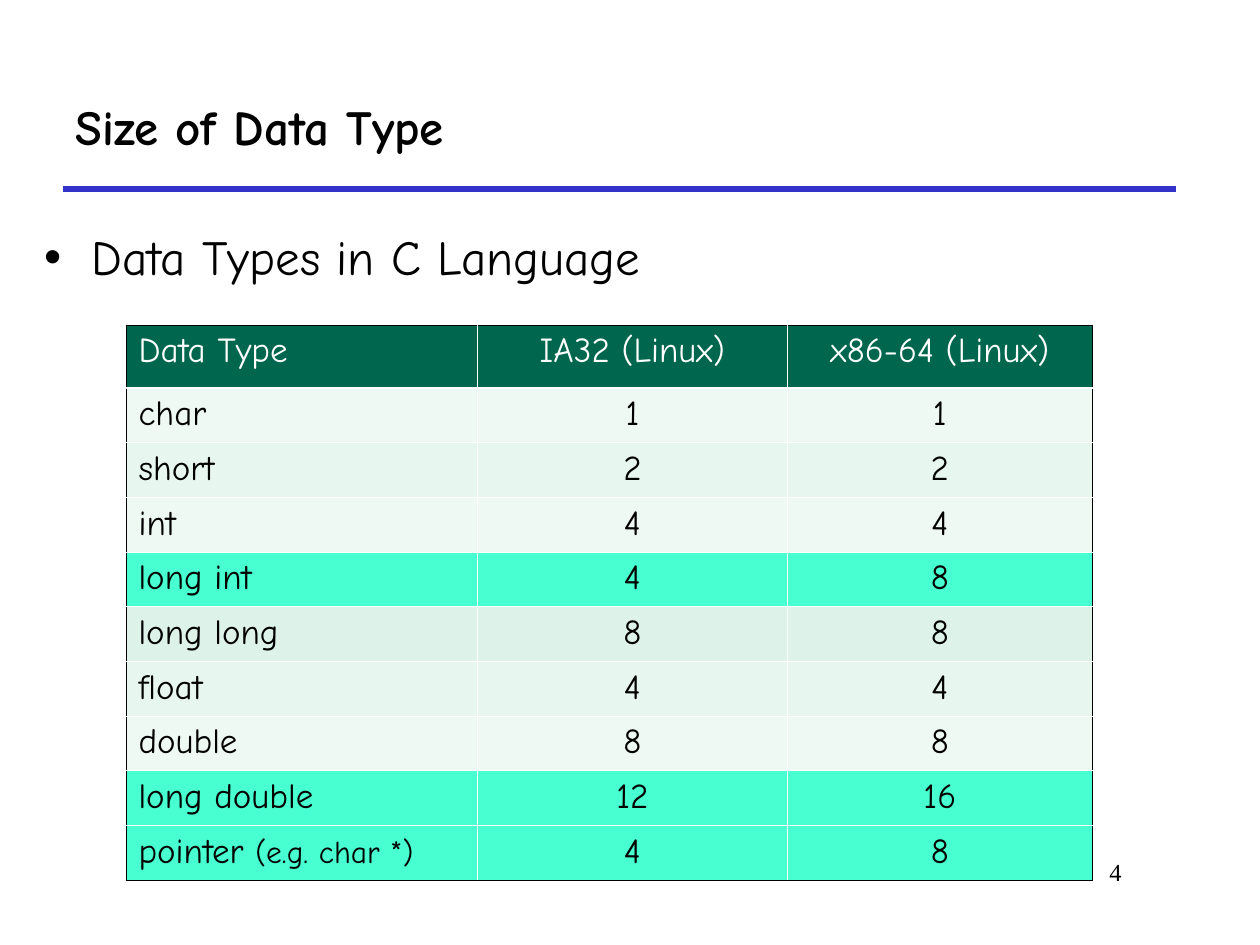
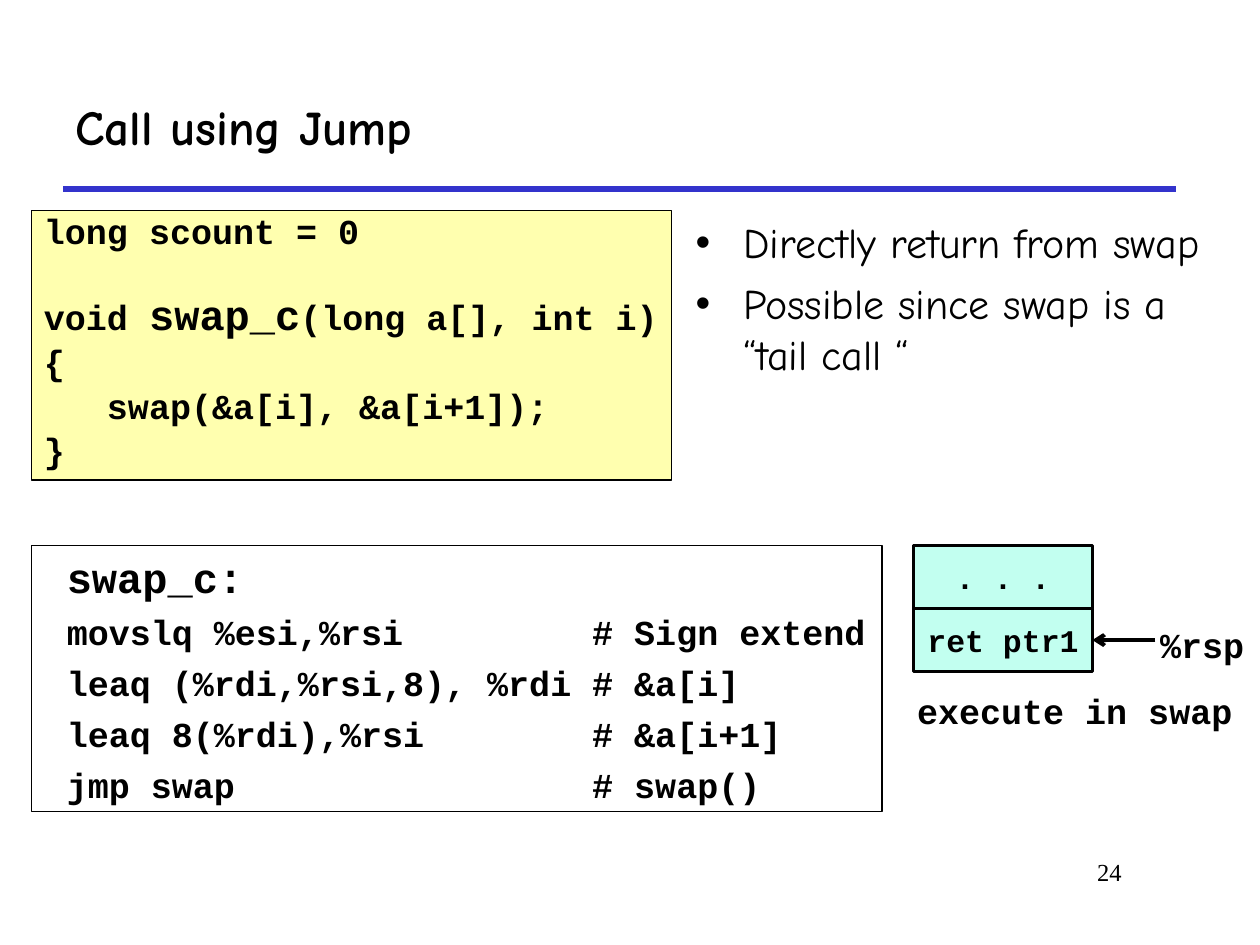
from dataclasses import dataclass

from lxml.etree import SubElement as Sub
from pptx import Presentation
from pptx.dml.color import RGBColor as RGB
from pptx.enum.shapes import MSO_CONNECTOR as Link, MSO_SHAPE as Shape
from pptx.enum.text import MSO_ANCHOR as Anchor, MSO_AUTO_SIZE as Fit, PP_ALIGN as Align
from pptx.oxml.ns import qn
from pptx.util import Inches, Pt


@dataclass(frozen=True)
class Theme:
    sans: str = "Comic Neue"
    mono: str = "Courier New"
    serif: str = "Times New Roman"
    ink: str = "000000"
    white: str = "FFFFFF"
    rule: str = "3333CC"
    head: str = "00664D"
    pale: str = "EEF9F4"
    soft: str = "E7F6EF"
    mid: str = "DDF3EA"
    vivid: str = "47FFD1"
    stack: str = "C2FFF0"
    code: str = "FFFFAF"
    title: int = 28
    list: int = 24
    text: int = 20
    small: int = 18
    page: int = 14


T = Theme()


def style(font, size, face, color=T.ink, bold=False):
    font.size, font.name, font.bold = Pt(size), face, bold
    font.color.rgb = RGB.from_string(color)


def inset(frame, left=0.1, top=0.05, right=0.1, bottom=0.05):
    frame.margin_left, frame.margin_top = Inches(left), Inches(top)
    frame.margin_right, frame.margin_bottom = Inches(right), Inches(bottom)


def place(shape, box):
    shape.left, shape.top, shape.width, shape.height = map(Inches, box)


def edge(cell, side, color, width):
    line = Sub(cell._tc.get_or_add_tcPr(), qn(f"a:ln{side}"), w=str(Pt(width)))
    Sub(Sub(line, qn("a:solidFill")), qn("a:srgbClr"), val=color)


class Deck:
    def __init__(self):
        self.prs = Presentation()
        self.prs.slide_width, self.prs.slide_height = Inches(10), Inches(7.5)

    def page(self, title, number):
        """Start a slide with its title, rule and page number."""
        self.slide = self.prs.slides.add_slide(self.prs.slide_layouts[1])
        self.shapes = self.slide.shapes
        head = self.shapes.title
        place(head, (0.5, 0.5, 8.83, 1))
        frame = head.text_frame
        frame.text, frame.vertical_anchor = title, Anchor.MIDDLE
        frame.auto_size = Fit.NONE
        para = frame.paragraphs[0]
        para.alignment = Align.LEFT
        style(para.font, T.title, T.sans, bold=True)
        self.line((0.5, 1.5), (9.33, 1.5), T.rule, 3)
        self.label(str(number), (7.58, 6.75, 1.42, 0.5), T.page, T.serif,
                   align=Align.RIGHT, right=0.1, bold=False)

    def bullets(self, items, box, size, gap):
        body = self.slide.placeholders[1]
        place(body, box)
        frame = body.text_frame
        frame.text, frame.auto_size = "\n".join(items), Fit.NONE
        inset(frame)
        for i, para in enumerate(frame.paragraphs):
            props = para._p.get_or_add_pPr()
            props.set("marL", str(Inches(0.38)))
            props.set("indent", str(Inches(-0.38)))
            Sub(Sub(props, qn("a:buClr")), qn("a:srgbClr"), val=T.ink)
            Sub(props, qn("a:buFont"), typeface="Arial")
            Sub(props, qn("a:buChar"), char="•")
            para.space_before = Pt(gap if i else 0)
            style(para.font, size, T.sans)

    def label(self, text, box, size=T.text, face=T.mono,
              align=Align.LEFT, right=0, bold=True):
        frame = self.shapes.add_textbox(*map(Inches, box)).text_frame
        frame.text, frame.word_wrap = text, True
        inset(frame, right=right)
        para = frame.paragraphs[0]
        para.alignment = align
        style(para.font, size, face, bold=bold)

    def rect(self, box, fill, width):
        shape = self.shapes.add_shape(Shape.RECTANGLE, *map(Inches, box))
        shape.shadow.inherit = False
        shape.fill.solid()
        shape.fill.fore_color.rgb = RGB.from_string(fill)
        shape.line.color.rgb = RGB.from_string(T.ink)
        shape.line.width = Pt(width)
        return shape

    def code(self, lines, box, fill, margins, pitch=None, tab=None):
        """Fill a box with code; each line is (space before, [(text, size)])."""
        frame = self.rect(box, fill, 0.75).text_frame
        frame.vertical_anchor, frame.word_wrap = Anchor.TOP, True
        inset(frame, *margins)
        for i, (gap, runs) in enumerate(lines):
            para = frame.add_paragraph() if i else frame.paragraphs[0]
            if tab:
                stops = Sub(para._p.get_or_add_pPr(), qn("a:tabLst"))
                Sub(stops, qn("a:tab"), pos=str(Inches(tab)), algn="l")
            para.alignment, para.space_before = Align.LEFT, Pt(gap)
            if pitch:
                para.line_spacing = Pt(pitch)
            style(para.font, runs[0][1], T.mono, bold=True)
            for text, size in runs:
                run = para.add_run()
                run.text = text
                if size != runs[0][1]:
                    run.font.size = Pt(size)

    def slot(self, text, box):
        """Draw one cell of the stack."""
        shape = self.rect(box, T.stack, 2)
        frame = shape.text_frame
        frame.text, frame.vertical_anchor = text, Anchor.MIDDLE
        inset(frame, 0, 0, 0, 0)
        para = frame.paragraphs[0]
        para.alignment = Align.CENTER
        style(para.font, T.small, T.mono, bold=True)
        return shape

    def line(self, start, end, color, width, goal=None):
        """Draw a line, or an arrow to the right side of a goal shape."""
        link = self.shapes.add_connector(
            Link.STRAIGHT, *map(Inches, (*start, *end)))
        link.line.color.rgb = RGB.from_string(color)
        link.line.width = Pt(width)
        Sub(link._element.spPr, qn("a:effectLst"))
        if goal is not None:
            link.end_connect(goal, 3)
            Sub(link.line._get_or_add_ln(), qn("a:tailEnd"), type="arrow")

    def table(self, rows, box, widths, top):
        """Draw a table; each row is (fill, texts), the first one the header."""
        last, end = len(rows) - 1, len(widths) - 1
        grid = self.shapes.add_table(
            len(rows), len(widths), *map(Inches, box)).table
        grid.horz_banding = False
        for col, width in zip(grid.columns, widths):
            col.width = Inches(width)
        for r, (fill, texts) in enumerate(rows):
            grid.rows[r].height = Inches((box[3] - top) / last if r else top)
            for c, text in enumerate(texts):
                cell = grid.cell(r, c)
                edge(cell, "L", T.white if c else T.ink, 0.45)
                edge(cell, "R", T.white if c < end else T.ink, 0.45)
                edge(cell, "T", T.white if r else T.ink, 1.47 if r == 1 else 0.45)
                edge(cell, "B", T.white if r < last else T.ink, 0.45 if r else 1.47)
                cell.fill.solid()
                cell.fill.fore_color.rgb = RGB.from_string(fill)
                para = cell.text_frame.paragraphs[0]
                para.alignment = Align.CENTER if c else Align.LEFT
                style(para.font, T.text, T.sans, T.ink if r else T.white)
                name, mark, note = text.partition("(e.g.")
                para.add_run().text = name
                if note:
                    run = para.add_run()
                    run.text = mark + note
                    run.font.size = Pt(T.small)


def sizes(deck):
    deck.page("Size of Data Type", 4)
    deck.bullets(["Data Types in C Language"], (0.25, 1.75, 9.5, 4.83), T.title, 7)
    rows = [
        (T.head, ("Data Type", "IA32 (Linux)", "x86-64 (Linux)")),
        (T.pale, ("char", "1", "1")),
        (T.soft, ("short", "2", "2")),
        (T.pale, ("int", "4", "4")),
        (T.vivid, ("long int", "4", "8")),
        (T.mid, ("long long", "8", "8")),
        (T.soft, ("float", "4", "4")),
        (T.pale, ("double", "8", "8")),
        (T.vivid, ("long double", "12", "16")),
        (T.vivid, ("pointer (e.g. char *)", "4", "8")),
    ]
    deck.table(rows, (1, 2.58, 7.67, 4.4), (2.79, 2.46, 2.42), 0.5)


def jump(deck):
    deck.page("Call using Jump", 24)
    deck.bullets(["Directly return from swap",
                  "Possible since swap is a “tail call “"],
                 (5.42, 1.67, 4.5, 1.75), T.list, 6)
    source = [
        (0, [("long scount = 0", T.text)]),
        (30, [("void ", T.text), ("swap_c", T.list), ("(long a[], int i)", T.text)]),
        (5, [("{", T.text)]),
        (5, [("   swap(&a[i], &a[i+1]);", T.text)]),
        (5, [("}", T.text)]),
    ]
    deck.code(source, (0.25, 1.67, 5.08, 2.14), T.code, (0.1, 0.05, 0, 0.08), pitch=20)
    steps = [
        ("movslq %esi,%rsi", "# Sign extend"),
        ("leaq (%rdi,%rsi,8), %rdi", "# &a[i]"),
        ("leaq 8(%rdi),%rsi", "# &a[i+1]"),
        ("jmp swap", "# swap()"),
    ]
    asm = [(0, [("swap_c:", T.list)])]
    asm += [(5, [("\t".join(step), T.text)]) for step in steps]
    deck.code(asm, (0.25, 4.33, 6.75, 2.11), T.white, (0.28, 0.05, 0.1, 0.05), tab=4.17)

    ret = deck.slot("ret ptr1", (7.25, 4.83, 1.42, 0.5))
    deck.slot(". . .", (7.25, 4.33, 1.42, 0.5))
    deck.line((9.17, 5.08), (8.67, 5.08), T.ink, 2.25, ret)
    deck.label("%rsp", (9.11, 4.9, 0.87, 0.44))
    deck.label("execute in swap", (7.18, 5.42, 2.7, 0.44))


def main():
    deck = Deck()
    sizes(deck)
    jump(deck)
    deck.prs.save("out.pptx")


if __name__ == "__main__":
    main()
